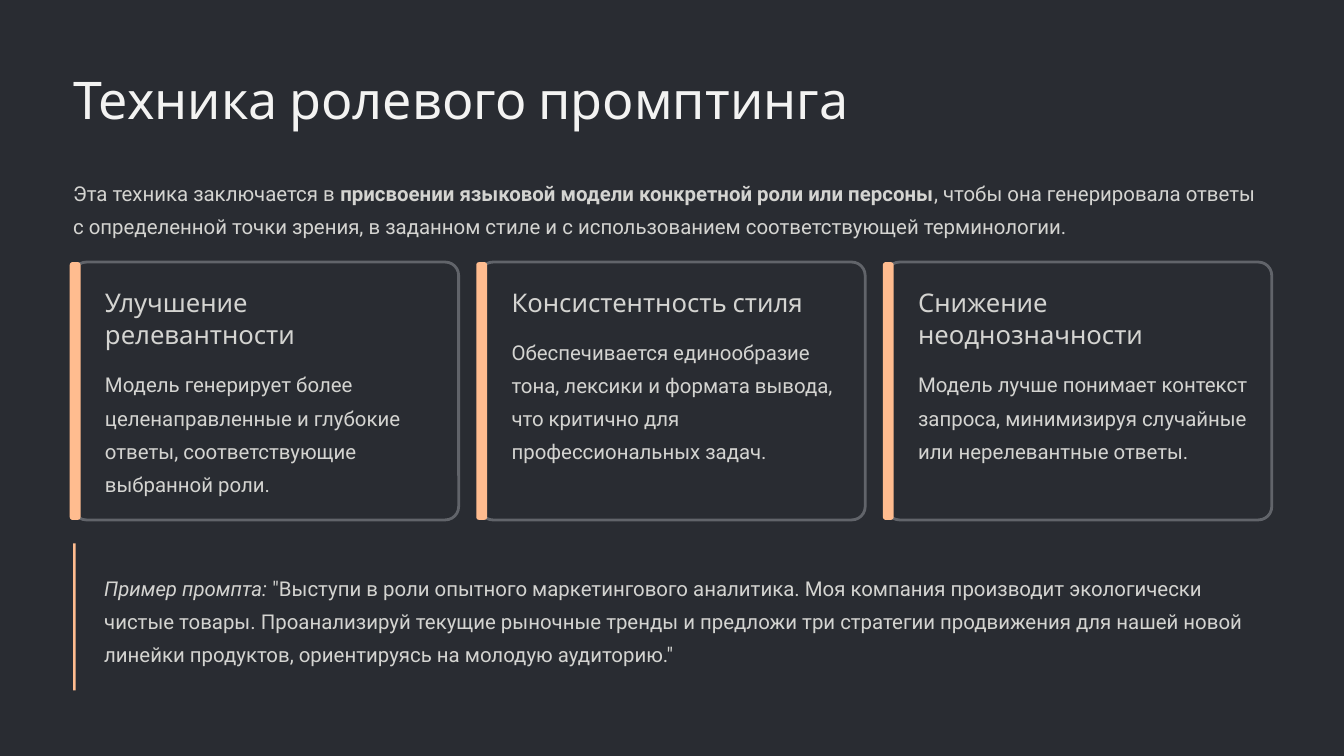
"""Builds a slide on role prompting with three benefit cards and a sample prompt."""
from dataclasses import dataclass

from pptx import Presentation
from pptx.dml.color import RGBColor
from pptx.enum.shapes import MSO_SHAPE
from pptx.util import Inches, Pt


@dataclass(frozen=True)
class TextStyle:
    """Font, size, line spacing and colour of one text role."""
    font: str
    size: float
    leading: float
    color: str


class Theme:
    """Colours and type styles of the slide."""
    background = "292C32"
    border = "61646A"
    accent = "FFBC8F"
    title = TextStyle("Cabin", 44.5, 55.5, "F3F3F2")
    heading = TextStyle("Cabin", 22, 27.5, "D4D4D1")
    body = TextStyle("Roboto", 17.5, 28.5, "D4D4D1")


class SlideBuilder:
    """Draws styled elements on one slide."""

    def __init__(self, slide, theme):
        self.slide = slide
        self.theme = theme
        fill = slide.background.fill
        fill.solid()
        fill.fore_color.rgb = RGBColor.from_string(theme.background)

    def text(self, left, top, width, height, style, *parts):
        """Add one paragraph; each part is a string or a (string, emphasis) pair."""
        box = self.slide.shapes.add_textbox(
            Inches(left), Inches(top), Inches(width), Inches(height))
        frame = box.text_frame
        frame.word_wrap = True
        frame.margin_left = frame.margin_top = 0
        frame.margin_right = frame.margin_bottom = 0
        paragraph = frame.paragraphs[0]
        paragraph.line_spacing = Pt(style.leading)
        paragraph.font.name = style.font
        paragraph.font.size = Pt(style.size)
        paragraph.font.color.rgb = RGBColor.from_string(style.color)
        for part in parts:
            words, emphasis = (part, None) if isinstance(part, str) else part
            run = paragraph.add_run()
            run.text = words
            if emphasis == "bold":
                run.font.bold = True
            elif emphasis == "italic":
                run.font.italic = True

    def panel(self, left, top, width, height, color, radius=None, border=None):
        """Add a filled rectangle, rounded and outlined on request."""
        kind = MSO_SHAPE.RECTANGLE if radius is None else MSO_SHAPE.ROUNDED_RECTANGLE
        shape = self.slide.shapes.add_shape(
            kind, Inches(left), Inches(top), Inches(width), Inches(height))
        shape.shadow.inherit = False
        if radius is not None:
            shape.adjustments[0] = radius
        shape.fill.solid()
        shape.fill.fore_color.rgb = RGBColor.from_string(color)
        if border:
            shape.line.color.rgb = RGBColor.from_string(border)
            shape.line.width = Pt(2.4)
        else:
            shape.line.fill.background()

    def card(self, left, heading, heading_lines, description):
        """Add a benefit card with its accent bar, heading and description."""
        theme, top, height = self.theme, 3.12, 3.07
        heading_height = 0.39 * heading_lines
        heading_top = top + 0.28
        self.panel(left, top, 4.59, height, theme.background, 0.052, theme.border)
        self.panel(left - 0.04, top, 0.13, height, theme.accent, 0.279)
        self.text(left + 0.38, heading_top, 3.93, heading_height, theme.heading, heading)
        self.text(left + 0.38, heading_top + heading_height + 0.15, 3.93, 1.59,
                  theme.body, description)


BENEFITS = [
    ("Улучшение релевантности", 2,
     "Модель генерирует более целенаправленные и глубокие ответы, "
     "соответствующие выбранной роли."),
    ("Консистентность стиля", 1,
     "Обеспечивается единообразие тона, лексики и формата вывода, "
     "что критично для профессиональных задач."),
    ("Снижение неоднозначности", 2,
     "Модель лучше понимает контекст запроса, минимизируя случайные "
     "или нерелевантные ответы."),
]


def main():
    """Compose and save the slide."""
    presentation = Presentation()
    presentation.slide_width = Inches(16)
    presentation.slide_height = Inches(9)
    theme = Theme()
    builder = SlideBuilder(
        presentation.slides.add_slide(presentation.slide_layouts[6]), theme)
    margin, card_pitch = 0.87, 4.84

    builder.text(margin, 0.78, 9.5, 0.78, theme.title,
                 "Техника ролевого промптинга")
    builder.text(
        margin, 2.05, 14.26, 0.79, theme.body,
        "Эта техника заключается в ",
        ("присвоении языковой модели конкретной роли или персоны", "bold"),
        ", чтобы она генерировала ответы с определенной точки зрения, "
        "в заданном стиле и с использованием соответствующей терминологии.")

    for index, benefit in enumerate(BENEFITS):
        builder.card(margin + index * card_pitch, *benefit)

    builder.text(
        1.24, 6.75, 13.89, 1.19, theme.body,
        ("Пример промпта:", "italic"),
        ' "Выступи в роли опытного маркетингового аналитика. Моя компания '
        'производит экологически чистые товары. Проанализируй текущие рыночные '
        'тренды и предложи три стратегии продвижения для нашей новой линейки '
        'продуктов, ориентируясь на молодую аудиторию."')
    builder.panel(margin, 6.47, 0.03, 1.75, theme.accent)

    presentation.save("out.pptx")


if __name__ == "__main__":
    main()
